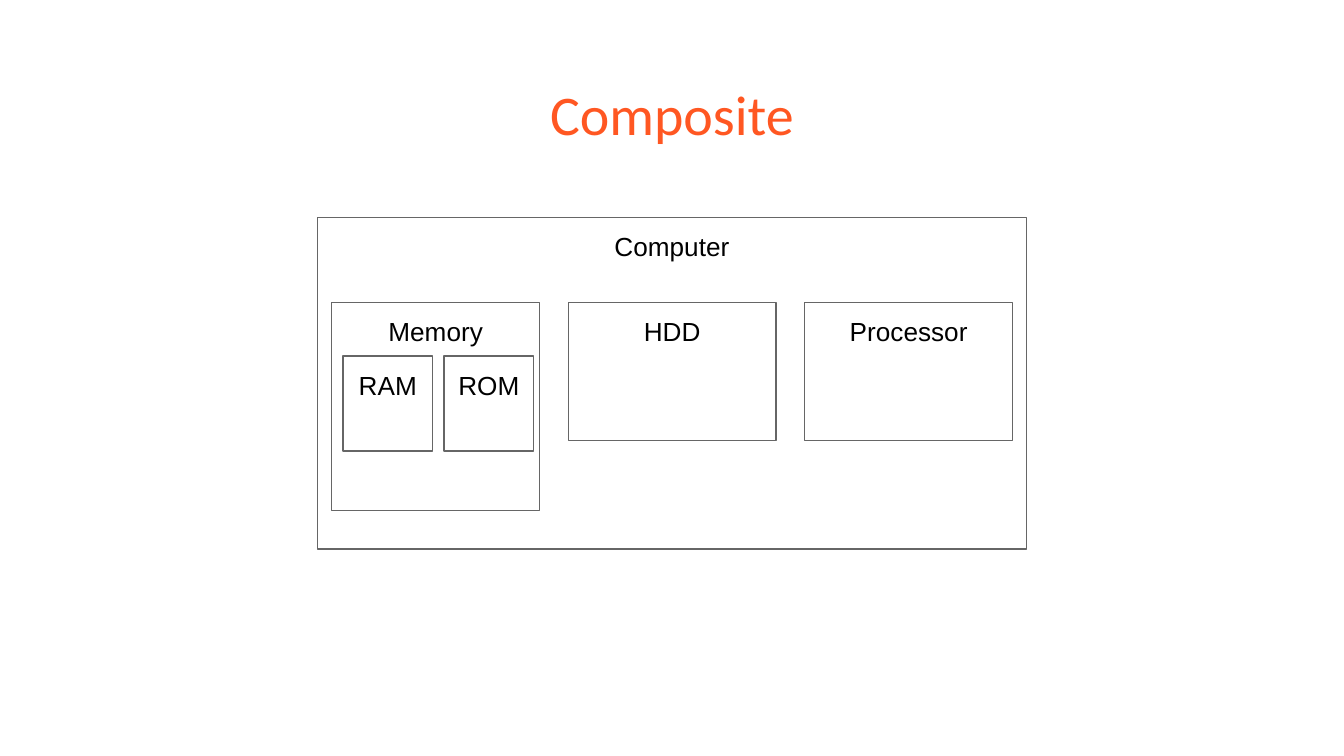
import pptx
import pptx.util
import pptx.dml.color
import pptx.enum.shapes
import pptx.enum.text

Cm = pptx.util.Cm
ORANGE = pptx.dml.color.RGBColor(0xFF, 0x57, 0x22)
GRAY = pptx.dml.color.RGBColor(0x66, 0x66, 0x66)
BLACK = pptx.dml.color.RGBColor(0x00, 0x00, 0x00)


def write_text(shape, text, size=14, font="Arial", color=BLACK):
    frame = shape.text_frame
    frame.word_wrap = True
    frame.vertical_anchor = pptx.enum.text.MSO_ANCHOR.TOP
    frame.margin_left = frame.margin_right = Cm(0.25)
    frame.margin_top = frame.margin_bottom = Cm(0.25)
    para = frame.paragraphs[0]
    para.alignment = pptx.enum.text.PP_ALIGN.CENTER
    span = para.add_run()
    span.text = text
    span.font.size = pptx.util.Pt(size)
    span.font.name = font
    span.font.color.rgb = color


def add_part(slide, text, left, top, width, height):
    box = slide.shapes.add_shape(
        pptx.enum.shapes.MSO_SHAPE.RECTANGLE,
        Cm(left), Cm(top), Cm(width), Cm(height))
    box.shadow.inherit = False
    box.fill.background()
    box.line.color.rgb = GRAY
    box.line.width = pptx.util.Pt(0.75)
    write_text(box, text)


deck = pptx.Presentation()
deck.slide_width = Cm(25.4)
deck.slide_height = Cm(14.29)
page = deck.slides.add_slide(deck.slide_layouts[6])

# Title
title = page.shapes.add_textbox(Cm(0.86), Cm(1.25), Cm(23.68), Cm(1.6))
write_text(title, "Composite", size=30, font="Calibri", color=ORANGE)

# Whole computer
add_part(page, "Computer", 6, 4.11, 13.4, 6.27)

# Components, evenly spaced inside the computer
for column, (name, height) in enumerate(
        [("Memory", 3.93), ("HDD", 2.61), ("Processor", 2.61)]):
    add_part(page, name, 6.27 + column * 4.47, 5.72, 3.93, height)

# Memory kinds, inside the memory box
for column, name in enumerate(["RAM", "ROM"]):
    add_part(page, name, 6.48 + column * 1.91, 6.73, 1.7, 1.8)

deck.save("out.pptx")
